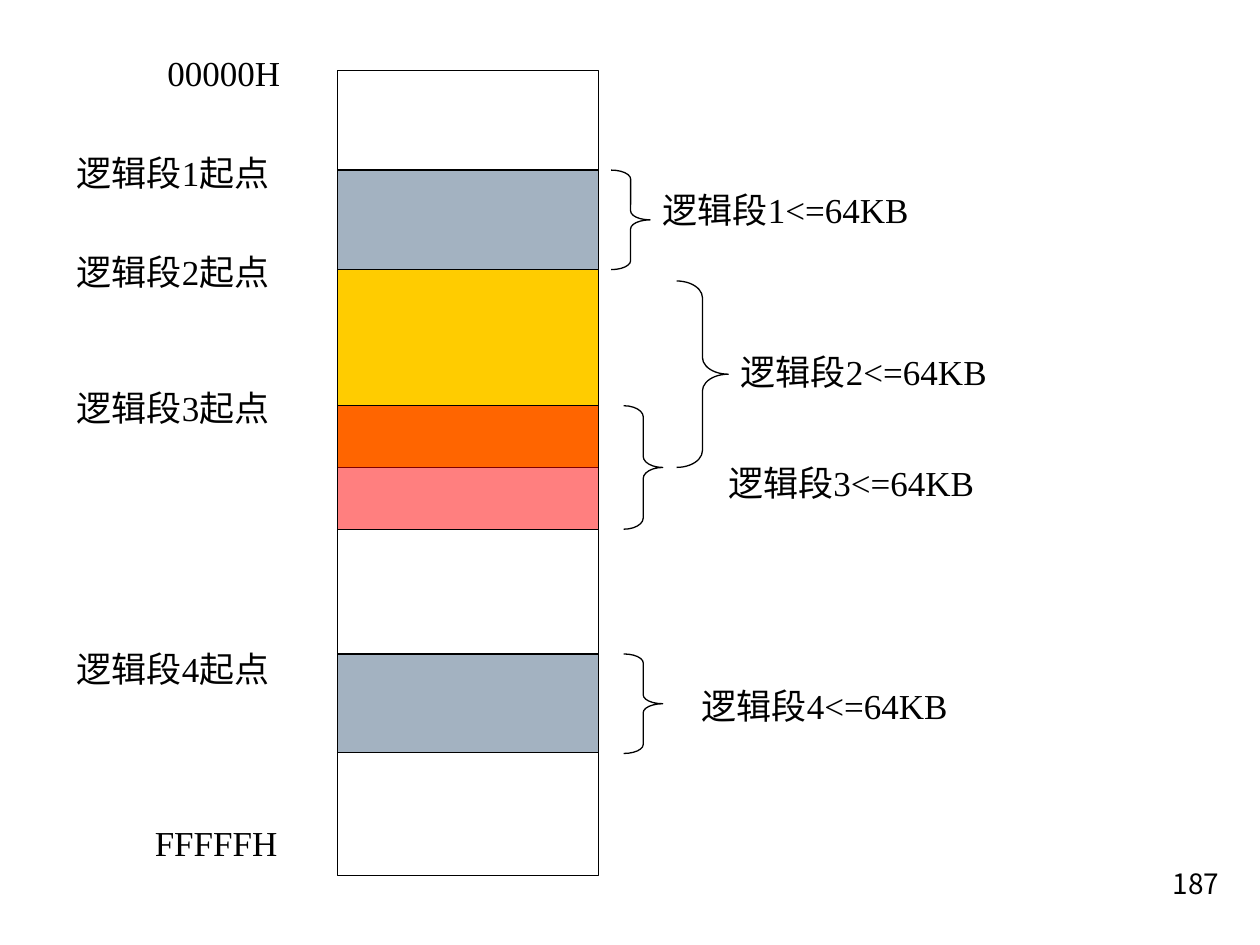
import pptx
import pptx.util
import pptx.dml.color
import pptx.enum.shapes
import pptx.oxml.ns
import lxml.etree

Inches = pptx.util.Inches
Pt = pptx.util.Pt
RGBColor = pptx.dml.color.RGBColor
MSO_SHAPE = pptx.enum.shapes.MSO_SHAPE
qn = pptx.oxml.ns.qn

BLACK = RGBColor(0x00, 0x00, 0x00)
GREY = RGBColor(0xA3, 0xB2, 0xC1)
YELLOW = RGBColor(0xFF, 0xCC, 0x00)
RED = RGBColor(0xFF, 0x00, 0x00)

LATIN_FONT = "Times New Roman"
CJK_FONT = "Noto Sans CJK KR"
MEMORY_LEFT, MEMORY_WIDTH = 2.68, 2.07
LABEL_HEIGHT = 0.51
BRACE_CURVE = 0.09  # depth of a brace's curves, as a share of its height

# Top, bottom, fill and opacity in percent of each memory block
BLOCKS = [
    (0.56, 1.35, None, 100),
    (1.35, 2.14, GREY, 100),
    (2.14, 3.71, YELLOW, 100),
    (3.22, 4.20, RED, 50),
    (4.20, 5.19, None, 100),
    (5.19, 5.97, GREY, 100),
    (5.97, 6.95, None, 100),
]

# Left, top, width and text of each address on the left
ADDRESSES = [
    (1.23, 0.36, 1.45, "00000H"),
    (0.51, 1.15, 2.17, "逻辑段1起点"),
    (0.51, 1.94, 2.17, "逻辑段2起点"),
    (0.51, 3.02, 2.17, "逻辑段3起点"),
    (0.51, 5.09, 2.17, "逻辑段4起点"),
    (1.13, 6.47, 1.55, "FFFFFH"),
]

# Brace left, top, width, height, then label left and top, for segments 1 to 4
SEGMENTS = [
    (4.85, 1.35, 0.31, 0.79, 5.16, 1.45),
    (5.37, 2.23, 0.41, 1.48, 5.78, 2.73),
    (4.95, 3.22, 0.31, 0.98, 5.68, 3.61),
    (4.95, 5.19, 0.31, 0.79, 5.47, 5.38),
]


def add_outlined(s, kind, left, top, width, height):
    sp = s.shapes.add_shape(
        kind, Inches(left), Inches(top), Inches(width), Inches(height))
    sp.shadow.inherit = False
    sp.fill.background()
    sp.line.color.rgb = BLACK
    sp.line.width = Pt(0.75)
    return sp


def add_block(s, top, bottom, color, opacity):
    sp = add_outlined(s, MSO_SHAPE.RECTANGLE,
                      MEMORY_LEFT, top, MEMORY_WIDTH, bottom - top)
    if color is None:
        return
    sp.fill.solid()
    sp.fill.fore_color.rgb = color
    if opacity < 100:
        clr = sp._element.spPr.find(qn("a:solidFill")).find(qn("a:srgbClr"))
        lxml.etree.SubElement(clr, qn("a:alpha"), val=str(opacity * 1000))


def add_brace(s, left, top, width, height):
    sp = add_outlined(s, MSO_SHAPE.RIGHT_BRACE, left, top, width, height)
    sp.adjustments[0] = BRACE_CURVE * height / width
    sp.adjustments[1] = 0.5


def add_label(s, left, top, width, text, size=20, font=LATIN_FONT):
    tf = s.shapes.add_textbox(Inches(left), Inches(top), Inches(width),
                              Inches(LABEL_HEIGHT)).text_frame
    tf.word_wrap = True
    tf.text = text
    r = tf.paragraphs[0].runs[0]
    r.font.size = Pt(size)
    r.font.name = font
    r.font.color.rgb = BLACK
    # East Asian typeface
    rPr = r._r.get_or_add_rPr()
    lxml.etree.SubElement(rPr, qn("a:ea"), typeface=CJK_FONT)


def main():
    prs = pptx.Presentation()
    prs.slide_width = Inches(10)
    prs.slide_height = Inches(7.5)
    s = prs.slides.add_slide(prs.slide_layouts[6])

    # Memory map
    for block in BLOCKS:
        add_block(s, *block)

    # Addresses on the left
    for address in ADDRESSES:
        add_label(s, *address)

    # Segment sizes on the right
    for number, (*brace, left, top) in enumerate(SEGMENTS, start=1):
        add_brace(s, *brace)
        add_label(s, left, top, 2.69, f"逻辑段{number}<=64KB")

    # Page number
    add_label(s, 9.21, 6.83, 0.79, "187", size=16, font=CJK_FONT)

    prs.save("out.pptx")


if __name__ == "__main__":
    main()
